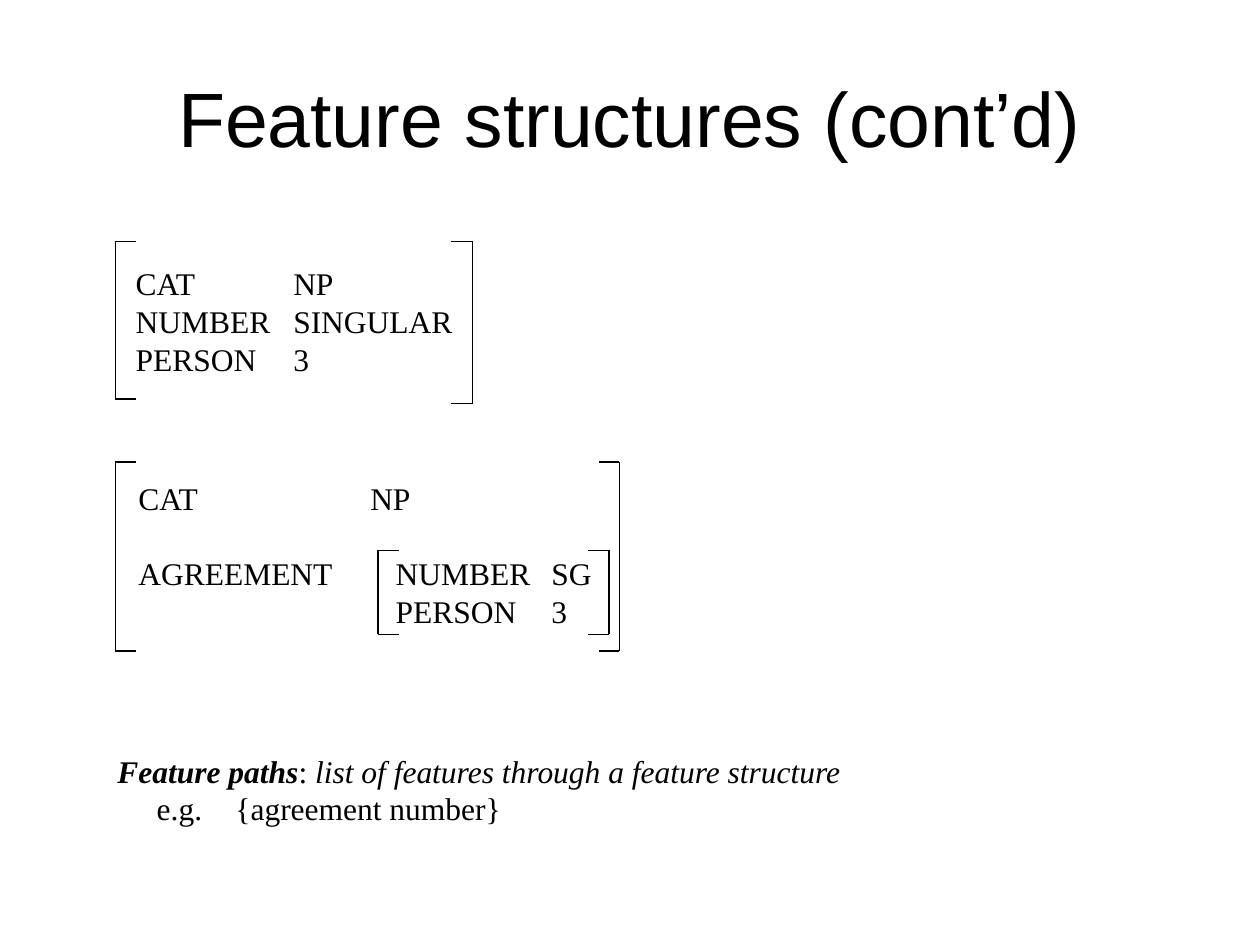
from pptx import Presentation
from pptx.dml.color import RGBColor
from pptx.enum.shapes import MSO_CONNECTOR
from pptx.enum.text import MSO_ANCHOR, PP_ALIGN
from pptx.oxml.ns import qn
from pptx.util import Pt
from lxml.etree import SubElement

BLACK = RGBColor(0, 0, 0)
SERIF, SANS = "Times New Roman", "Arial"
TEXT_SIZE = 18
LINE_HEIGHT = 21.5
BRACKET_ARM = 12


def style(para, font_name=SERIF, size=TEXT_SIZE):
    para.font.name = font_name
    para.font.size = Pt(size)
    para.font.color.rgb = BLACK


def add_text_frame(page, box):
    left, top, width, height = box
    shape = page.shapes.add_textbox(Pt(left), Pt(top), Pt(width), Pt(height))
    shape.text_frame.word_wrap = True
    return shape.text_frame


def add_line(page, start, end):
    line = page.shapes.add_connector(
        MSO_CONNECTOR.STRAIGHT, Pt(start[0]), Pt(start[1]), Pt(end[0]), Pt(end[1]))
    line.line.color.rgb = BLACK
    line.line.width = Pt(0.75)
    SubElement(line._element.spPr, qn("a:effectLst"))


def add_bracket(page, x, top, bottom, arm):
    """Draw one square bracket; a negative arm points left."""
    add_line(page, (x, top), (x, bottom))
    for y in (top, bottom):
        add_line(page, (x, y), (x + arm, y))


def add_bracket_pair(page, box, right_extra=0):
    left, top, width, height = box
    add_bracket(page, left, top, top + height, BRACKET_ARM)
    add_bracket(page, left + width, top, top + height + right_extra, -BRACKET_ARM)


def add_title(page, box, text):
    frame = add_text_frame(page, box)
    frame.vertical_anchor = MSO_ANCHOR.MIDDLE
    para = frame.paragraphs[0]
    para.text = text
    para.alignment = PP_ALIGN.CENTER
    style(para, SANS, 44)


def add_column(page, box, lines, gap=0):
    """Write one column of lines, with a gap in points between them."""
    frame = add_text_frame(page, box)
    for index, text in enumerate(lines):
        para = frame.add_paragraph() if index else frame.paragraphs[0]
        para.text = text
        para.space_before = Pt(gap if index else 0)
        style(para)


def add_flat_structure(page, box):
    left, top, _, _ = box
    add_bracket_pair(page, box, right_extra=2.5)
    text_left, text_top = left + 4.5, top + 9.5
    add_column(page, (text_left, text_top, 100, 72), ["CAT", "NUMBER", "PERSON"])
    add_column(page, (text_left + 90, text_top, 120, 72), ["NP", "SINGULAR", "3"])


def add_nested_structure(page, box):
    left, top, _, _ = box
    add_bracket_pair(page, box)
    add_bracket_pair(page, (left + 150, top + 50.5, 132, 48))

    # Outer features
    text_left, text_top = left + 6, top + 6
    add_column(page, (text_left, text_top, 135, 72), ["CAT", "AGREEMENT"], LINE_HEIGHT)
    add_column(page, (text_left + 132.5, text_top, 60, 29), ["NP"])

    # Features of the agreement
    inner_top = text_top + 2 * LINE_HEIGHT
    add_column(page, (text_left + 147, inner_top, 100, 50.5), ["NUMBER", "PERSON"])
    add_column(page, (text_left + 236, inner_top, 50, 50.5), ["SG", "3"])


def add_definition(page, box):
    left, top, width, _ = box
    frame = add_text_frame(page, (left, top, width, 29))
    para = frame.paragraphs[0]
    style(para)
    for text, bold, italic in (
            ("Feature paths", True, True),
            (": ", False, False),
            ("list of features through a feature structure", False, True)):
        span = para.add_run()
        span.text = text
        span.font.bold = bold
        span.font.italic = italic

    # Example line
    example_top = top + LINE_HEIGHT
    add_column(page, (left + 22.5, example_top, 50, 29), ["e.g."])
    add_column(page, (left + 67.5, example_top, 200, 29), ["{agreement number}"])


def main():
    deck = Presentation()
    deck.slide_width, deck.slide_height = Pt(720), Pt(540)
    page = deck.slides.add_slide(deck.slide_layouts[6])

    add_title(page, (36, 21.6, 648, 90), "Feature structures (cont’d)")
    add_flat_structure(page, (66, 138, 204, 90))
    add_nested_structure(page, (66, 264, 288, 108))
    add_definition(page, (60, 426, 534, 50.5))

    deck.save("out.pptx")


if __name__ == "__main__":
    main()
